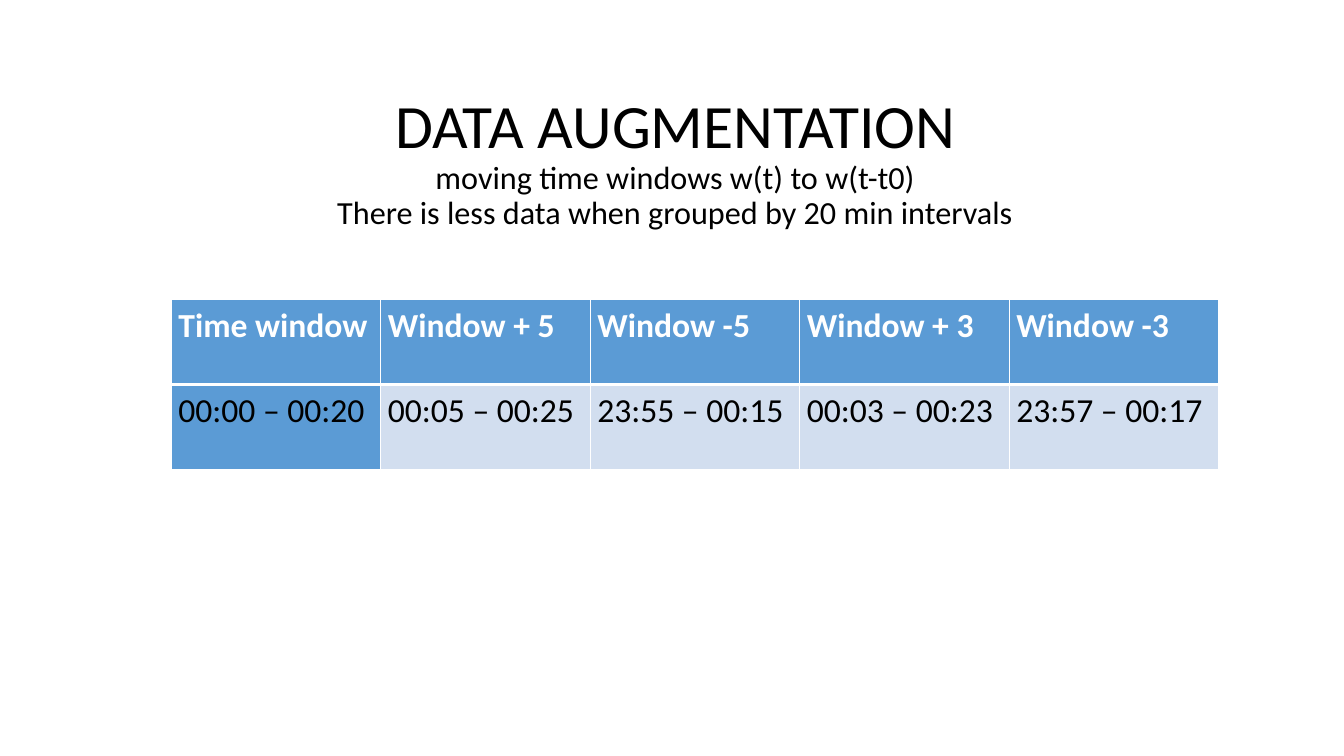
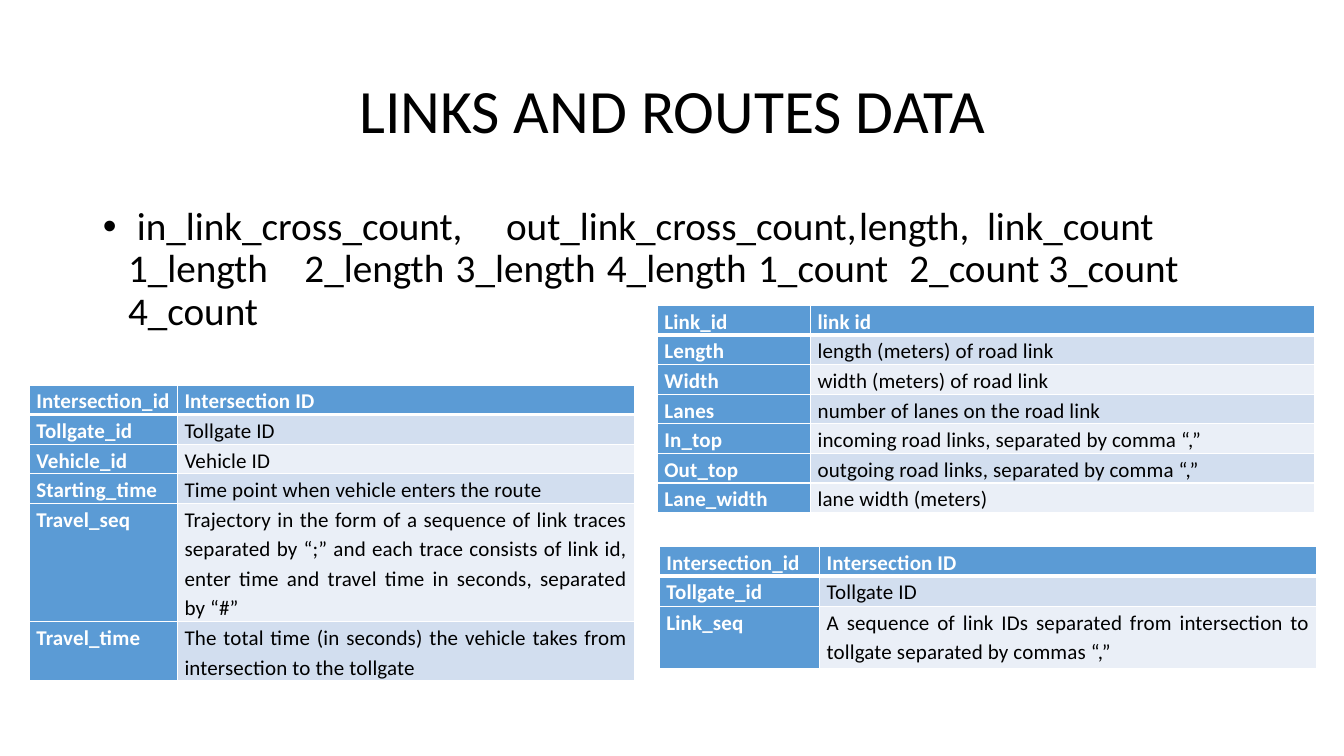
from copy import deepcopy
from lxml import etree
from pptx import Presentation
from pptx import util as u
from pptx.dml.color import RGBColor
from pptx.enum import text
from pptx.oxml.ns import qn

HUE = {"ink": "000000", "white": "FFFFFF", "head": "5B9BD5",
       "odd": "D2DEEF", "even": "EAEFF7"}
FONT = "Calibri"
LEFT, JUST = text.PP_ALIGN.LEFT, text.PP_ALIGN.JUSTIFY

deck = Presentation()
deck.slide_width, deck.slide_height = u.Inches(13.33), u.Inches(7.5)


def rgb(name):
    return RGBColor.from_string(HUE[name])


def grid(x, y, w, h):
    """Turn percent of the slide into left, top, width, height."""
    wide, high = deck.slide_width, deck.slide_height
    return [int(part * side / 100)
            for part, side in zip((x, y, w, h), (wide, high, wide, high))]


def place(shape, box):
    shape.left, shape.top, shape.width, shape.height = grid(*box)


def style(run, size, hue="ink", bold=False):
    font = run.font
    font.name, font.size, font.bold = FONT, u.Pt(size), bold
    font.color.rgb = rgb(hue)


# Title: a large first line, smaller lines below it
def add_title(slide, box, lines):
    title = slide.shapes.title
    place(title, box)
    frame = title.text_frame
    frame.auto_size = text.MSO_AUTO_SIZE.NONE
    frame.vertical_anchor = text.MSO_ANCHOR.MIDDLE
    para = frame.paragraphs[0]
    para.text = "\v".join(lines)
    para.alignment = text.PP_ALIGN.CENTER
    para.line_spacing = 0.9
    for i, run in enumerate(para.runs):
        style(run, 23 if i else 44)
    # Each break takes the size of the line it ends
    for gap in para._p.findall(qn("a:br")):
        gap.insert(0, deepcopy(gap.getprevious().find(qn("a:rPr"))))


# Bulleted text in the content placeholder
def add_body(slide, box, words):
    body = slide.placeholders[1]
    place(body, box)
    frame = body.text_frame
    frame.auto_size = text.MSO_AUTO_SIZE.NONE
    para = frame.paragraphs[0]
    para.text = words
    para.line_spacing, para.space_before = 0.9, u.Pt(10)
    props = para._p.get_or_add_pPr()
    props.set("marL", str(u.Inches(0.25)))
    props.set("indent", str(u.Inches(-0.25)))
    for run in para.runs:
        style(run, 28)


# White cell borders, thick between header and data
def edge(cell, row):
    props = cell._tc.get_or_add_tcPr()
    thick = {0: "B", 1: "T"}.get(row)
    for i, side in enumerate("LRTB"):
        line = etree.Element(qn("a:ln" + side),
                             w=str(u.Pt(3 if side == thick else 1)))
        fill = etree.SubElement(line, qn("a:solidFill"))
        etree.SubElement(fill, qn("a:srgbClr"), val=HUE["white"])
        props.insert(i, line)


# Banded table; cols and rows are relative sizes within the box
def add_table(slide, box, cols, rows, data, size=15, align=JUST,
              keys=True, track=10):
    left, top, wide, high = grid(*box)
    table = slide.shapes.add_table(len(rows), len(cols), left, top,
                                   wide, high).table
    for col, part in zip(table.columns, cols):
        col.width = int(wide * part / sum(cols))
    for row, part in zip(table.rows, rows):
        row.height = int(high * part / sum(rows))
    for r, line in enumerate(data):
        for c, words in enumerate(line):
            cell = table.cell(r, c)
            cell.margin_left = cell.margin_right = u.Inches(0.07)
            cell.margin_top = cell.margin_bottom = 0
            band = "odd" if r % 2 else "even"
            cell.fill.solid()
            cell.fill.fore_color.rgb = rgb("head" if r * c == 0 else band)
            edge(cell, r)
            para = cell.text_frame.paragraphs[0]
            para.text = words
            para.alignment, para.line_spacing = align, 1.15
            strong = r == 0 or (keys and c == 0)
            for run in para.runs:
                style(run, size, "white" if strong else "ink", strong)
                run._r.get_or_add_rPr().set("spc", str(track))


def windows():
    slide = deck.slides.add_slide(deck.slide_layouts[5])
    add_title(slide, (7.13, 6.67, 86.27, 29.87), [
        "DATA AUGMENTATION",
        "moving time windows w(t) to w(t-t0)",
        "There is less data when grouped by 20 min intervals"])
    add_table(slide, (12.75, 39.6, 77.94, 22.53), [1] * 5, [1, 1], [
        ["Time window", "Window + 5", "Window -5", "Window + 3", "Window -3"],
        ["00:00 – 00:20", "00:05 – 00:25", "23:55 – 00:15",
         "00:03 – 00:23", "23:57 – 00:17"],
    ], size=24, align=LEFT, keys=False, track=0)


def routes():
    slide = deck.slides.add_slide(deck.slide_layouts[1])
    add_title(slide, (6.9, 5.33, 86.27, 19.33), ["LINKS AND ROUTES DATA"])
    add_body(slide, (6.9, 26.67, 86.27, 63.47),
             " in_link_cross_count,\tout_link_cross_count,\tlength,  link_count "
             "1_length\t2_length\t3_length\t4_length\t1_count\t2_count "
             "3_count\t4_count")
    ids = [["Intersection_id", "Intersection ID"],
           ["Tollgate_id", "Tollgate ID"]]
    # Road links
    add_table(slide, (48.91, 40.4, 48.91, 26.13), [1.52, 5], [1] * 7, [
        ["Link_id", "link id"],
        ["Length", "length (meters) of road link"],
        ["Width", "width (meters) of road link"],
        ["Lanes", "number of lanes on the road link"],
        ["In_top", "incoming road links, separated by comma “,”"],
        ["Out_top", "outgoing road links, separated by comma “,”"],
        ["Lane_width", "lane width (meters)"]])
    # Routes
    add_table(slide, (49.06, 72.27, 48.91, 15.87), [1.59, 4.93],
              [0.27, 0.3, 0.62], ids + [
        ["Link_seq", "A sequence of link IDs separated from intersection to "
                     "tollgate separated by commas “,”"]])
    # Vehicle trips
    add_table(slide, (2.18, 50.93, 45.01, 39), [1.47, 4.53],
              [1, 1, 1, 1, 4, 2], ids + [
        ["Vehicle_id", "Vehicle ID"],
        ["Starting_time", "Time point when vehicle enters the route"],
        ["Travel_seq", "Trajectory in the form of a sequence of link traces "
                       "separated by “;” and each trace consists of link id, "
                       "enter time and travel time in seconds, separated by "
                       "“#”"],
        ["Travel_time", "The total time (in seconds) the vehicle takes from "
                        "intersection to the tollgate"]])


if __name__ == "__main__":
    windows()
    routes()
    deck.save("out.pptx")
